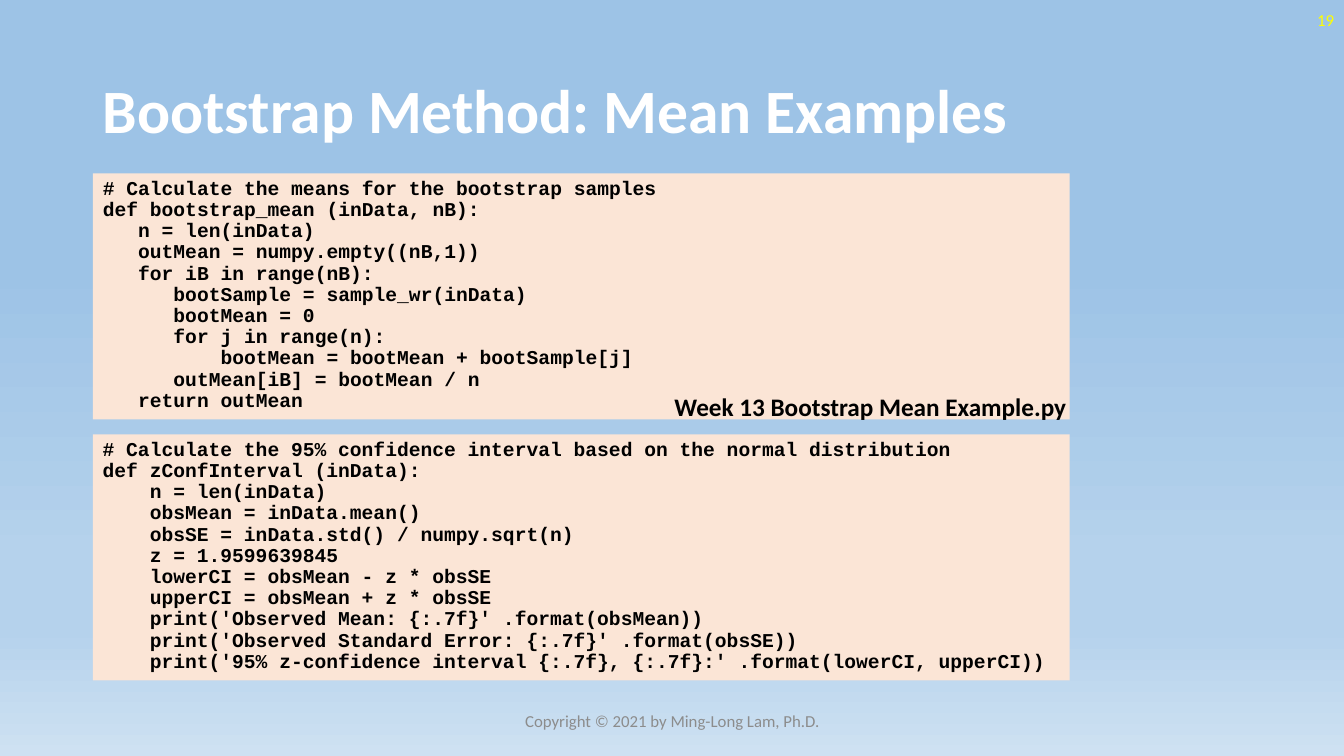
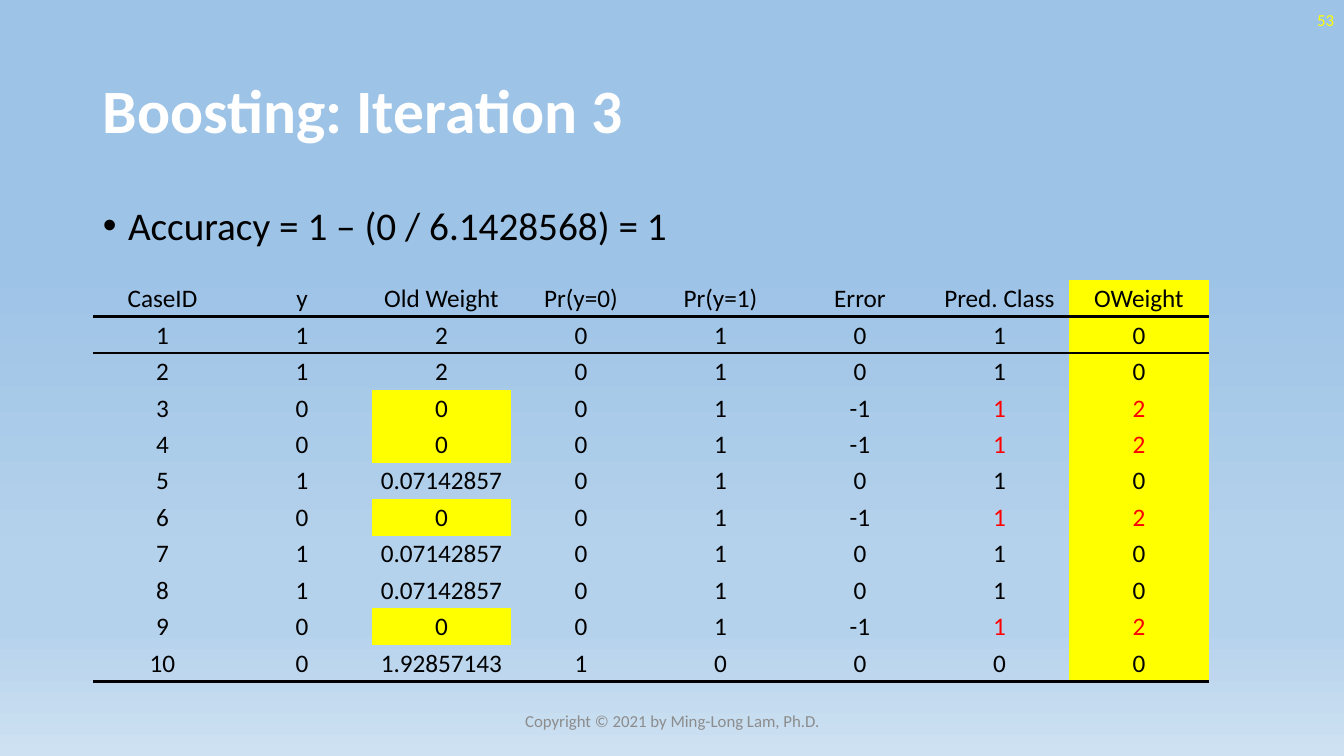
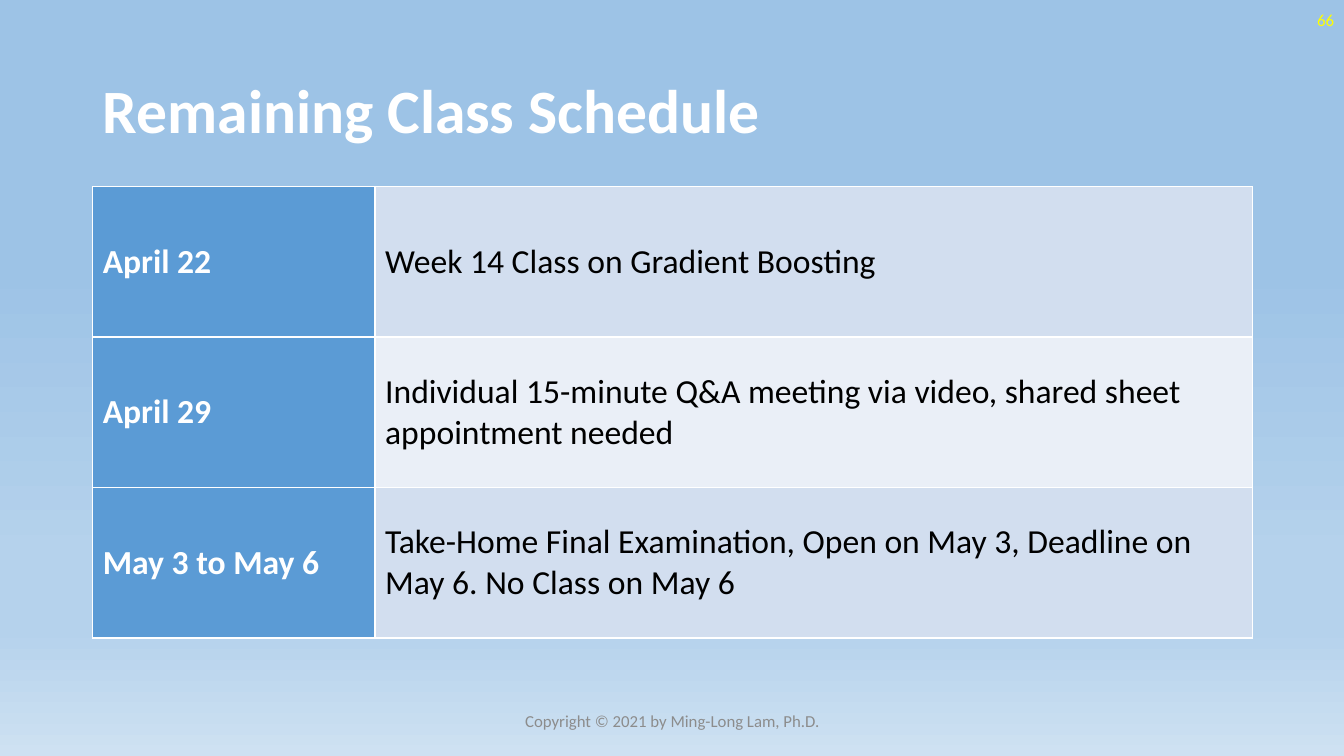
import dataclasses
import typing

import lxml.etree
import pptx
import pptx.dml.color
import pptx.enum.shapes
import pptx.enum.text
import pptx.oxml.ns
import pptx.util

Inches = pptx.util.Inches
Pt = pptx.util.Pt
qn = pptx.oxml.ns.qn
Align = pptx.enum.text.PP_ALIGN
Anchor = pptx.enum.text.MSO_ANCHOR

HUES = {
    "white": "FFFFFF",
    "black": "000000",
    "yellow": "FFFF00",
    "red": "FF0000",
    "gray": "8C8C8C",
    "peach": "FBE5D6",
    "blue": "5B9BD5",
    "band": "D2DEEF",
    "pale": "EAEFF7",
}
SKY = [(35, "9DC3E6"), (74, "B5D2EC"), (83, "B5D2EC"), (100, "CEE1F2")]
SIDES = ("L", "R", "T", "B")


@dataclasses.dataclass(frozen=True)
class Box:
    left: float
    top: float
    width: float
    height: float

    def spans(self) -> dict[str, int]:
        return {key: Inches(val) for key, val in dataclasses.asdict(self).items()}


@dataclasses.dataclass(frozen=True)
class Look:
    size: int
    hue: str = "black"
    bold: bool = False
    face: str = "Calibri"
    align: Align = Align.LEFT
    anchor: Anchor = Anchor.MIDDLE
    lead: float = 1.0
    wrap: bool = True
    mark: str = ""


@dataclasses.dataclass(frozen=True)
class Cell:
    text: str
    look: Look
    fill: str = ""
    edges: dict[str, float] = dataclasses.field(default_factory=dict)
    line: str = "black"


TITLE = Look(44, "white", True, lead=0.9)
CODE = Look(14, bold=True, face="Courier New", anchor=Anchor.TOP, lead=0.9)
POINT = Look(28, anchor=Anchor.TOP, lead=0.9, mark="•")
LABEL = Look(18, bold=True, anchor=Anchor.TOP, wrap=False)
PAGE = Look(12, "yellow", align=Align.RIGHT)
FOOT = Look(12, "gray", align=Align.CENTER)
DATA = Look(18, align=Align.CENTER)
WRONG = dataclasses.replace(DATA, hue="red")
DATE = Look(24, "white", True)
EVENT = Look(24)

MEAN = """# Calculate the means for the bootstrap samples
def bootstrap_mean (inData, nB):
   n = len(inData)
   outMean = numpy.empty((nB,1))
   for iB in range(nB):
      bootSample = sample_wr(inData)
      bootMean = 0
      for j in range(n):
          bootMean = bootMean + bootSample[j]
      outMean[iB] = bootMean / n
   return outMean"""

BOUNDS = """# Calculate the 95% confidence interval based on the normal distribution
def zConfInterval (inData):
    n = len(inData)
    obsMean = inData.mean()
    obsSE = inData.std() / numpy.sqrt(n)
    z = 1.9599639845
    lowerCI = obsMean - z * obsSE
    upperCI = obsMean + z * obsSE
    print('Observed Mean: {:.7f}' .format(obsMean))
    print('Observed Standard Error: {:.7f}' .format(obsSE))
    print('95% z-confidence interval {:.7f}, {:.7f}:' .format(lowerCI, upperCI))"""

HEADS = ["CaseID", "y", "Old Weight", "Pr(y=0)", "Pr(y=1)", "Error", "Pred. Class", "OWeight"]
CASES = [
    "1 1 2 0 1 0 1 0",
    "2 1 2 0 1 0 1 0",
    "3 0 0 0 1 -1 1 2",
    "4 0 0 0 1 -1 1 2",
    "5 1 0.07142857 0 1 0 1 0",
    "6 0 0 0 1 -1 1 2",
    "7 1 0.07142857 0 1 0 1 0",
    "8 1 0.07142857 0 1 0 1 0",
    "9 0 0 0 1 -1 1 2",
    "10 0 1.92857143 1 0 0 0 0",
]
OLD, ERROR, PRED, NEW = 2, 5, 6, 7

EVENTS = [
    ("April 22", "Week 14 Class on Gradient Boosting"),
    ("April 29", "Individual 15-minute Q&A meeting via video, shared sheet appointment needed"),
    ("May 3 to May 6", "Take-Home Final Examination, Open on May 3, Deadline on May 6. No Class on May 6"),
]


def put(item: typing.Any, **vals: typing.Any) -> None:
    for key, val in vals.items():
        setattr(item, key, val)


def tint(name: str) -> pptx.dml.color.RGBColor:
    return pptx.dml.color.RGBColor.from_string(HUES[name])


def paint(fill: typing.Any, name: str) -> None:
    if name:
        fill.solid()
        fill.fore_color.rgb = tint(name)
    else:
        fill.background()


def write(frame: typing.Any, text: str, look: Look) -> None:
    for num, line in enumerate(text.split("\n")):
        para = frame.paragraphs[0] if num == 0 else frame.add_paragraph()
        props = para._p.get_or_add_pPr()
        inset = Inches(0.25) if look.mark else 0
        props.set("marL", str(inset))
        props.set("indent", str(-inset))
        if look.mark:
            lxml.etree.SubElement(props, qn("a:buChar")).set("char", look.mark)
        else:
            lxml.etree.SubElement(props, qn("a:buNone"))
        put(para, alignment=look.align, line_spacing=look.lead, space_before=Pt(0))
        run = para.add_run()
        run.text = line
        put(run.font, name=look.face, size=Pt(look.size), bold=look.bold)
        run.font.color.rgb = tint(look.hue)


def place(shape: typing.Any, box: Box, text: str, look: Look) -> None:
    put(shape, **box.spans())
    frame = shape.text_frame
    put(frame, word_wrap=look.wrap, vertical_anchor=look.anchor,
        auto_size=pptx.enum.text.MSO_AUTO_SIZE.NONE)
    write(frame, text, look)


def note(slide: typing.Any, box: Box, text: str, look: Look) -> None:
    place(slide.shapes.add_textbox(**box.spans()), box, text, look)


def rule(cell: typing.Any, edges: dict[str, float], hue: str) -> None:
    props = cell._tc.get_or_add_tcPr()
    sides = [side for side in SIDES if side in edges]
    for num, side in enumerate(sides):
        line = lxml.etree.Element(qn(f"a:ln{side}"), w=str(Pt(edges[side])))
        fill = lxml.etree.SubElement(line, qn("a:solidFill"))
        lxml.etree.SubElement(fill, qn("a:srgbClr")).set("val", HUES[hue])
        props.insert(num, line)


def grid(slide: typing.Any, box: Box, widths: list[float], rows: list[list[Cell]],
         pads: dict[str, int]) -> None:
    frame = slide.shapes.add_table(len(rows), len(widths), **box.spans())
    table = frame.table
    put(table, first_row=False, horz_banding=False)
    for style in frame._element.iter(qn("a:tableStyleId")):
        style.text = "{2D5ABB26-0587-4C30-8999-92F81FD0307C}"
    for col, width in zip(table.columns, widths):
        col.width = Inches(width)
    for row, cells in zip(table.rows, rows):
        row.height = Inches(box.height / len(rows))
        for cell, item in zip(row.cells, cells):
            put(cell, vertical_anchor=item.look.anchor, **pads)
            write(cell.text_frame, item.text, item.look)
            paint(cell.fill, item.fill)
            rule(cell, item.edges, item.line)


def shade(master: typing.Any) -> None:
    master.background.fill.gradient()
    grad = master._element.find(f".//{qn('p:bgPr')}/{qn('a:gradFill')}")
    for child in list(grad):
        grad.remove(child)
    stops = lxml.etree.SubElement(grad, qn("a:gsLst"))
    for pos, hue in SKY:
        stop = lxml.etree.SubElement(stops, qn("a:gs"), pos=str(pos * 1000))
        lxml.etree.SubElement(stop, qn("a:srgbClr")).set("val", hue)
    lxml.etree.SubElement(grad, qn("a:lin"), ang="5400000", scaled="0")


def start(deck: typing.Any, kind: int, title: str, page: int) -> typing.Any:
    slide = deck.slides.add_slide(deck.slide_layouts[kind])
    place(slide.shapes.title, Box(0.92, 0.4, 11.5, 1.45), title, TITLE)
    note(slide, Box(10.33, 0, 3, 0.4), str(page), PAGE)
    note(slide, Box(4.42, 6.95, 4.5, 0.4), "Copyright © 2021 by Ming-Long Lam, Ph.D.", FOOT)
    return slide


def means(deck: typing.Any) -> None:
    slide = start(deck, 1, "Bootstrap Method: Mean Examples", 19)
    lower = slide.shapes.add_shape(pptx.enum.shapes.MSO_SHAPE.RECTANGLE, 0, 0, 0, 0)
    lower.shadow.inherit = False
    panels = [(slide.placeholders[1], 1.72, MEAN), (lower, 4.31, BOUNDS)]
    for shape, top, text in panels:
        place(shape, Box(0.92, top, 9.69, 2.44), text, CODE)
        paint(shape.fill, "peach")
        shape.line.fill.background()
    note(slide, Box(6.59, 3.83, 4.12, 0.4), "Week 13 Bootstrap Mean Example.py", LABEL)


def case(num: int, vals: list[str]) -> list[Cell]:
    edges = {0: {"B": 2}, 1: {"T": 2}, len(CASES): {"B": 2}}.get(num, {})
    cells = []
    for col, text in enumerate(vals):
        look = WRONG if vals[ERROR] == "-1" and col in (PRED, NEW) else DATA
        lit = col == NEW or (col == OLD and text == "0")
        cells.append(Cell(text, look, "yellow" if lit else "", edges))
    return cells


def boost(deck: typing.Any) -> None:
    slide = start(deck, 1, "Boosting: Iteration 3", 53)
    place(slide.placeholders[1], Box(0.92, 2, 11.5, 4.76),
          "Accuracy = 1 – (0 / 6.1428568) = 1", POINT)
    lines = [HEADS] + [line.split() for line in CASES]
    rows = [case(num, vals) for num, vals in enumerate(lines)]
    thin = Inches(0.01)
    pads = {"margin_left": thin, "margin_right": thin, "margin_top": thin, "margin_bottom": 0}
    box = Box(0.92, 2.78, 11.07, 3.98)
    grid(slide, box, [box.width / len(HEADS)] * len(HEADS), rows, pads)


def dates(deck: typing.Any) -> None:
    slide = start(deck, 5, "Remaining Class Schedule", 66)
    edges = dict.fromkeys(SIDES, 1)
    rows = [
        [Cell(day, DATE, "blue", edges, "white"),
         Cell(text, EVENT, ("band", "pale")[num % 2], edges, "white")]
        for num, (day, text) in enumerate(EVENTS)
    ]
    grid(slide, Box(0.92, 1.85, 11.5, 4.48), [2.8, 8.7], rows, {})


def main() -> None:
    deck = pptx.Presentation()
    put(deck, slide_width=Inches(13.33), slide_height=Inches(7.5))
    shade(deck.slide_master)
    for draw in (means, boost, dates):
        draw(deck)
    deck.save("out.pptx")


if __name__ == "__main__":
    main()
